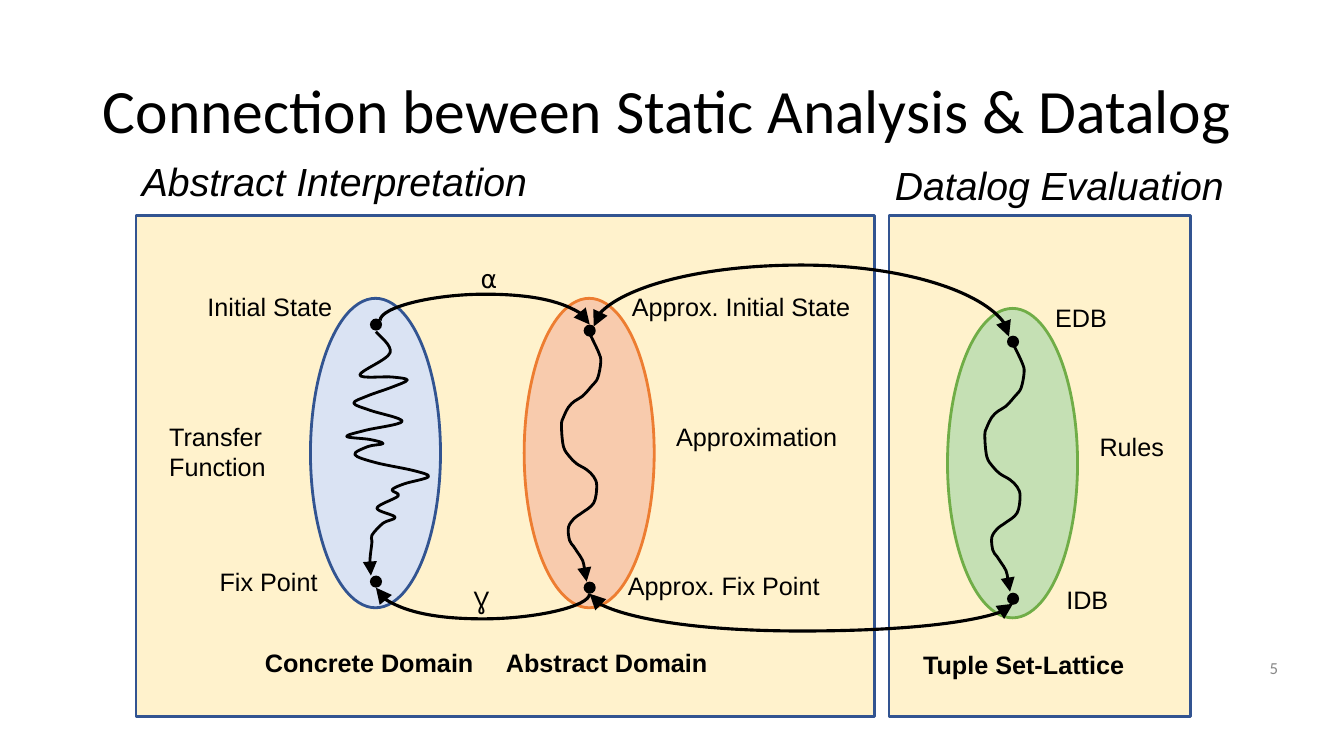
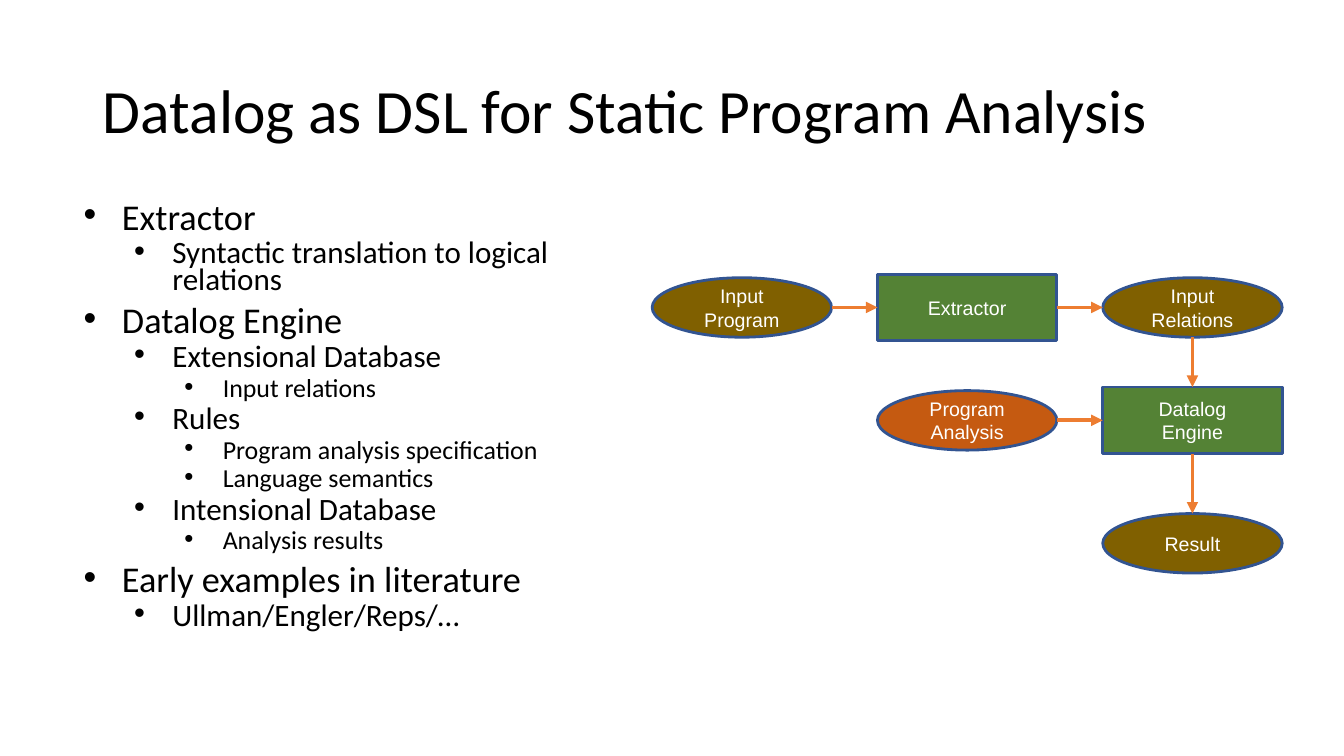
from lxml.etree import SubElement
from pptx import Presentation
from pptx.dml.color import RGBColor
from pptx.enum.shapes import MSO_CONNECTOR, MSO_SHAPE
from pptx.enum.text import MSO_ANCHOR, MSO_AUTO_SIZE, PP_ALIGN
from pptx.oxml.ns import qn
from pptx.util import Inches, Pt

COLORS = {
    "black": "000000", "white": "FFFFFF", "gray": "888888",
    "cream": "FFF2CC", "navy": "325491", "pale_blue": "DAE3F3",
    "peach": "F8CBAD", "orange": "ED7D31", "mint": "C5E0B4",
    "leaf": "70AD47", "olive": "806000", "rust": "C55A11", "green": "548235",
}
TITLE = {"name": "Calibri", "size": Pt(44), "color": "black"}
LABEL = {"name": "Arial", "size": Pt(18), "color": "black"}
DOMAIN = {**LABEL, "bold": True}
HEADING = {**LABEL, "size": Pt(28), "italic": True}
NODE = {"name": "Arial", "size": Pt(14), "color": "white"}
PAGE_NUMBER = {"name": "Calibri", "size": Pt(12), "color": "gray"}

# Slide 1: connection diagram
CONNECTION_TITLE = "Connection beween Static Analysis & Datalog"
PANELS = [(1.35, 7.33), (8.82, 2.99)]  # left, width
# Curves run inside a domain, measured from its top left corner
ZIGZAG = [
    (.65, .33), (.79, .54), (.49, .76), (.81, .78), (.96, .81), (.81, .88),
    (.56, .97), (.43, 1.04), (.59, 1.11), (.91, 1.22), (.54, 1.31),
    (.36, 1.37), (.59, 1.4), (.72, 1.44), (.57, 1.47), (.44, 1.55),
    (.65, 1.63), (1.03, 1.71), (1.17, 1.77), (.93, 1.84), (.81, 1.9),
    (.87, 1.96), (.66, 2.08), (.84, 2.17), (.72, 2.23), (.61, 2.35),
    (.61, 2.42), (.59, 2.6), (.6, 2.75),
]
WAVE = [
    (.66, .37), (.74, .54), (.76, .63), (.73, .79), (.67, .87), (.58, .97),
    (.5, 1.02), (.44, 1.08), (.39, 1.18), (.37, 1.26), (.39, 1.47),
    (.45, 1.57), (.52, 1.64), (.62, 1.7), (.69, 1.77), (.72, 1.86),
    (.69, 2.03), (.57, 2.13), (.5, 2.18), (.44, 2.27), (.45, 2.4),
    (.49, 2.46), (.53, 2.52), (.58, 2.6), (.6, 2.69), (.62, 2.81),
]
DOMAINS = [  # left, top, fill, line, first dot's drop, curve
    (3.08, 2.96, "pale_blue", "navy", .2, ZIGZAG),
    (5.2, 2.96, "peach", "orange", .26, WAVE),
    (9.4, 3.06, "mint", "leaf", .27, WAVE),
]
DOMAIN_W, DOMAIN_H, DOT, DOT_GAP = 1.29, 3.07, .12, 2.55
LABELS = [  # text, left, top, width, format
    ("Initial State", 1.96, 2.84, 1.45, LABEL),
    ("Fix Point", 2.08, 5.57, 1.18, LABEL),
    ("Approx. Fix Point", 6.13, 5.61, 2.12, LABEL),
    ("Approx. Initial State", 6.17, 2.84, 2.39, LABEL),
    ("Transfer\nFunction", 1.58, 4.13, 1.21, LABEL),
    ("Approximation", 6.61, 4.13, 1.81, LABEL),
    ("Concrete Domain", 2.53, 6.37, 2.29, DOMAIN),
    ("Abstract Domain", 4.92, 6.37, 2.22, DOMAIN),
    ("IDB", 10.48, 5.75, .62, LABEL),
    ("EDB", 10.37, 2.95, .72, LABEL),
    ("Rules", 10.81, 4.23, .85, LABEL),
    ("Tuple Set-Lattice", 9.06, 6.39, 2.24, DOMAIN),
    ("Abstract Interpretation", 1.31, 1.51, 4.07, HEADING),
    ("Datalog Evaluation", 8.78, 1.55, 3.5, HEADING),
    ("⍺", 4.67, 2.56, .35, LABEL),
    ("Ɣ", 4.6, 5.75, .36, LABEL),
]
ARCS = [  # start, end, height of the bend, rotation, flip, two-headed
    ((3.77, 3.18), (5.85, 3.22), 2.92, 270, "flipH", False),
    ((5.85, 5.89), (3.73, 5.83), 6.14, 90, "flipH", False),
    ((10.01, 3.34), (5.89, 3.24), 2.63, 270, "flipV", True),
    ((10.05, 5.99), (5.85, 5.89), 6.26, 90, "flipH", True),
]

# Slide 2: bullets and flow chart
DSL_TITLE = "Datalog as DSL for Static Program Analysis"
BULLETS = [
    (0, "Extractor"),
    (1, "Syntactic translation to logical relations"),
    (0, "Datalog Engine"),
    (1, "Extensional Database"),
    (2, "Input relations"),
    (1, "Rules"),
    (2, "Program analysis specification"),
    (2, "Language semantics"),
    (1, "Intensional Database"),
    (2, "Analysis results"),
    (0, "Early examples in literature"),
    (1, "Ullman/Engler/Reps/…"),
]
LEVELS = [(25.9, 10), (22.2, 5), (18.5, 5)]  # size, space before
NODES = {  # text: column, row, kind
    "Input Program": (0, 0, "data"),
    "Input Relations": (2, 0, "data"),
    "Result": (2, 2, "data"),
    "Program\nAnalysis": (1, 1, "rules"),
    "Extractor": (1, 0, "tool"),
    "Datalog\nEngine": (2, 1, "tool"),
}
KINDS = {  # shape, fill, height
    "data": (MSO_SHAPE.OVAL, "olive", .59),
    "rules": (MSO_SHAPE.OVAL, "rust", .59),
    "tool": (MSO_SHAPE.RECTANGLE, "green", .66),
}
FLOWS = [
    ("Input Program", "Extractor"),
    ("Extractor", "Input Relations"),
    ("Input Relations", "Datalog\nEngine"),
    ("Datalog\nEngine", "Result"),
    ("Program\nAnalysis", "Datalog\nEngine"),
]
NODE_W, COLUMN_X, COLUMN_STEP = 1.78, 7.36, 2.235
ROW_Y = [3.05, 4.17, 5.39]


def rgb(name):
    return RGBColor.from_string(COLORS[name])


def box(*lengths):
    return [Inches(v) for v in lengths]


def set_font(font, fmt):
    for key, value in fmt.items():
        if key == "color":
            font.color.rgb = rgb(value)
        else:
            setattr(font, key, value)


def write(tf, text, fmt, align=PP_ALIGN.LEFT):
    tf.text = text
    for p in tf.paragraphs:
        p.alignment = align
        for r in p.runs:
            set_font(r.font, fmt)


def set_line(line, color, width, ends=(), head="med"):
    line.color.rgb = rgb(color)
    line.width = Pt(width)
    for end in ends:
        SubElement(line._get_or_add_ln(), qn(f"a:{end}"),
                   type="triangle", w=head, len=head)


def add_slide(prs, layout, title):
    s = prs.slides.add_slide(prs.slide_layouts[layout])
    sp = s.shapes.title
    sp.left, sp.top, sp.width, sp.height = box(.92, .4, 11.5, 1.45)
    tf = sp.text_frame
    write(tf, title, TITLE)
    tf.vertical_anchor = MSO_ANCHOR.MIDDLE
    tf.auto_size = MSO_AUTO_SIZE.NONE
    tf.paragraphs[0].line_spacing = .9
    return s


def add_shape(s, kind, at, fill, line=None):
    sp = s.shapes.add_shape(kind, *box(*at))
    sp.shadow.inherit = False
    sp.fill.solid()
    sp.fill.fore_color.rgb = rgb(fill)
    if line:
        set_line(sp.line, line, 2)
    else:
        sp.line.fill.background()
    return sp


def add_label(s, text, x, y, w, fmt):
    h = .1 + fmt["size"].inches * 1.2 * len(text.split("\n"))
    tf = s.shapes.add_textbox(*box(x, y, w, h)).text_frame
    tf.word_wrap = False
    tf.auto_size = MSO_AUTO_SIZE.SHAPE_TO_FIT_TEXT
    write(tf, text, fmt)


def add_arrow(s, kind, start, end, color, width, ends=("tailEnd",),
              head="med"):
    c = s.shapes.add_connector(kind, *box(*start, *end))
    set_line(c.line, color, width, ends, head)
    SubElement(c._element.spPr, qn("a:effectLst"))
    return c


def add_arc(s, start, end, bend, rotation, flip, two_headed):
    """Curved connector turned on its side, so that it bends up or down."""
    (x1, y1), (x2, y2) = start, end
    w, h = abs(y2 - y1), abs(x2 - x1)
    x, y = (x1 + x2 - w) / 2, (y1 + y2 - h) / 2
    ends = ("headEnd", "tailEnd") if two_headed else ("tailEnd",)
    c = add_arrow(s, MSO_CONNECTOR.CURVE, (x, y), (x + w, y + h),
                  "black", 2.25, ends, "lg")
    xfrm = c._element.spPr.find(qn("a:xfrm"))
    xfrm.set("rot", str(rotation * 60000))
    xfrm.set(flip, "1")
    adjust = round((bend - y1) / (y2 - y1) * 100000)
    SubElement(c._element.spPr.find(f".//{qn('a:avLst')}"), qn("a:gd"),
               name="adj1", fmla=f"val {adjust}")


def round_corners(sp):
    """Turn the straight segments of a freeform into Catmull-Rom Béziers."""
    pts = [(int(pt.get("x")), int(pt.get("y")))
           for pt in sp._element.iter(qn("a:pt"))]
    padded = [pts[0], *pts, pts[-1]]
    segments = list(sp._element.iter(qn("a:lnTo")))
    for seg, a, b, c, d in zip(segments, padded, padded[1:], padded[2:],
                               padded[3:]):
        leave = [q + (r - p) / 6 for p, q, r in zip(a, b, c)]
        arrive = [q - (r - p) / 6 for p, q, r in zip(b, c, d)]
        parent = seg.getparent()
        bezier = SubElement(parent, qn("a:cubicBezTo"))
        parent.replace(seg, bezier)
        for x, y in (leave, arrive, c):
            SubElement(bezier, qn("a:pt"), x=str(round(x)), y=str(round(y)))


def add_curve(s, x, y, points):
    pts = [box(x + dx, y + dy) for dx, dy in points]
    builder = s.shapes.build_freeform(*pts[0])
    builder.add_line_segments(pts[1:], close=False)
    sp = builder.convert_to_shape()
    round_corners(sp)
    sp.shadow.inherit = False
    sp.fill.background()
    set_line(sp.line, "black", 2, ("tailEnd",), "lg")


def add_bullets(s):
    sp = s.placeholders[1]
    sp.left, sp.top, sp.width, sp.height = box(.61, 1.99, 5.65, 4.76)
    tf = sp.text_frame
    tf.auto_size = MSO_AUTO_SIZE.NONE
    tf.text = "\n".join(text for _, text in BULLETS)
    for p, (level, _) in zip(tf.paragraphs, BULLETS):
        size, before = LEVELS[level]
        p.level, p.line_spacing, p.space_before = level, .7, Pt(before)
        set_font(p.runs[0].font,
                 {"name": "Calibri", "size": Pt(size), "color": "black"})
        pPr = p._p.get_or_add_pPr()
        pPr.set("marL", str(Inches(.5 * (level + 1))))
        pPr.set("indent", str(Inches(-.38)))
        SubElement(pPr, qn("a:buFont"), typeface="Arial")
        SubElement(pPr, qn("a:buChar"), char="•")


def build_connection(prs):
    s = add_slide(prs, 5, CONNECTION_TITLE)
    for x, w in PANELS:
        add_shape(s, MSO_SHAPE.RECTANGLE, (x, 2.14, w, 4.97), "cream", "navy")
    for x, y, fill, line, drop, curve in DOMAINS:
        add_shape(s, MSO_SHAPE.OVAL, (x, y, DOMAIN_W, DOMAIN_H), fill, line)
        for dot_y in (y + drop, y + drop + DOT_GAP):
            add_shape(s, MSO_SHAPE.OVAL, (x + .59, dot_y, DOT, DOT), "black")
        add_curve(s, x, y, curve)
    for label in LABELS:
        add_label(s, *label)
    for arc in ARCS:
        add_arc(s, *arc)
    tf = s.shapes.add_textbox(*box(9.78, 6.43, 3, .4)).text_frame
    tf.word_wrap = True
    tf.vertical_anchor = MSO_ANCHOR.MIDDLE
    write(tf, "5", PAGE_NUMBER, PP_ALIGN.RIGHT)


def build_dsl(prs):
    s = add_slide(prs, 1, DSL_TITLE)
    add_bullets(s)
    places = {}
    for text, (column, row, kind) in NODES.items():
        shape, fill, h = KINDS[kind]
        x, y = COLUMN_X + column * COLUMN_STEP, ROW_Y[row]
        places[text] = x, y, h
        sp = add_shape(s, shape, (x - NODE_W / 2, y - h / 2, NODE_W, h),
                       fill, "navy")
        sp.text_frame.vertical_anchor = MSO_ANCHOR.MIDDLE
        write(sp.text_frame, text, NODE, PP_ALIGN.CENTER)
    for source, target in FLOWS:
        (x1, y1, h1), (x2, y2, h2) = places[source], places[target]
        if y1 == y2:
            start, end = (x1 + NODE_W / 2, y1), (x2 - NODE_W / 2, y2)
        else:
            start, end = (x1, y1 + h1 / 2), (x2, y2 - h2 / 2)
        add_arrow(s, MSO_CONNECTOR.STRAIGHT, start, end, "orange", 2.75)


def main():
    prs = Presentation()
    prs.slide_width, prs.slide_height = box(40 / 3, 7.5)
    build_connection(prs)
    build_dsl(prs)
    prs.save("out.pptx")


if __name__ == "__main__":
    main()
